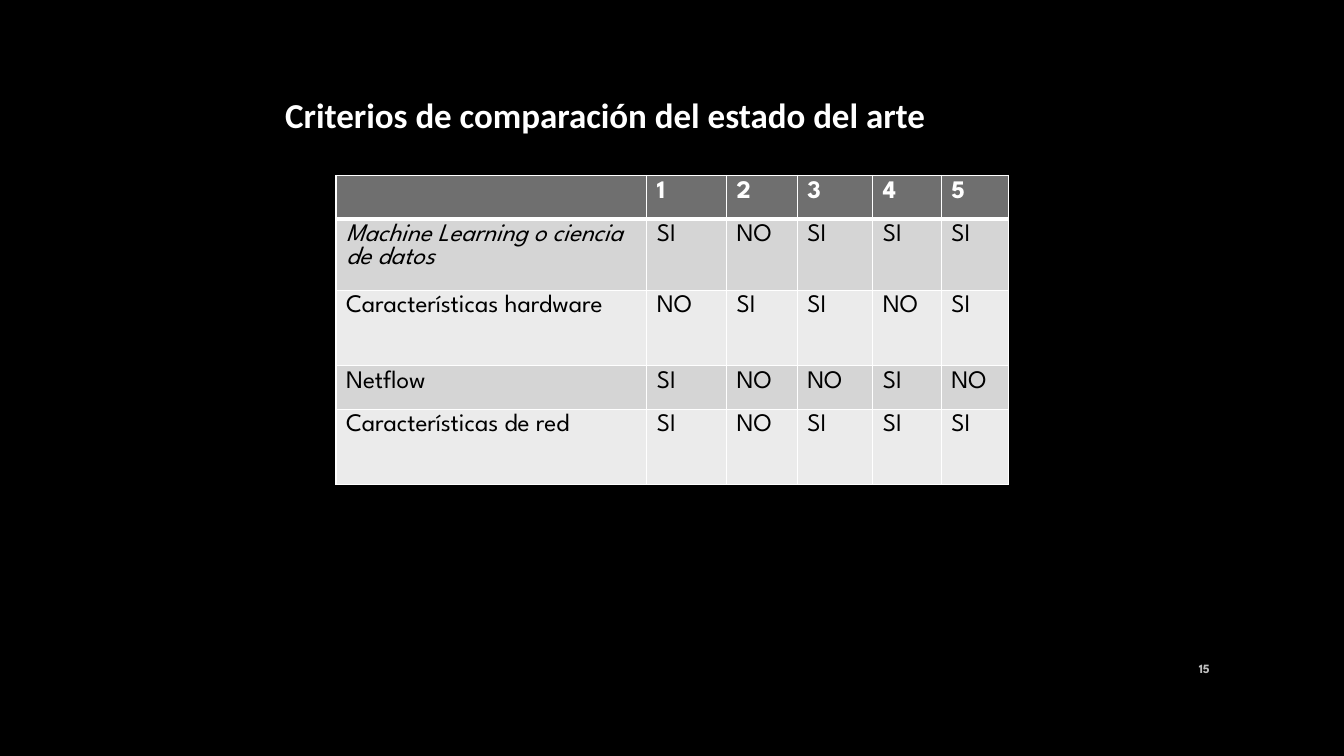
"""Builds the slide that compares state-of-the-art criteria in a table."""
import pptx
import pptx.dml.color
import pptx.enum.text
import pptx.oxml
import pptx.oxml.ns
import pptx.util

Pt = pptx.util.Pt
RGB = pptx.dml.color.RGBColor.from_string
ALIGN = pptx.enum.text.PP_ALIGN
ANCHOR = pptx.enum.text.MSO_ANCHOR

TITLE = "Criterios de comparación del estado del arte"
PAGE = "15"
ROWS = [
    ("", "1", "2", "3", "4", "5"),
    ("Machine Learning o ciencia de datos", "SI", "NO", "SI", "SI", "SI"),
    ("Características hardware", "NO", "SI", "SI", "NO", "SI"),
    ("Netflow", "SI", "NO", "NO", "SI", "NO"),
    ("Características de red", "SI", "NO", "SI", "SI", "SI"),
]
COL_WIDTHS = [222, 57, 50.5, 54, 49, 48]
ROW_HEIGHTS = [31, 51, 54, 31, 54]
TABLE_AT = (240, 125.3)
TITLE_BOX = (196.5, 63.3, 716, 37.5)
PAGE_BOX = (828, 463, 43.2, 28.8)
COLORS = {
    "back": "000000", "white": "FFFFFF", "dark": "000000", "page": "BFBFBF",
    "head": "6F6F6F", "odd": "D5D5D5", "even": "EBEBEB",
}
FONT = "League Spartan"
TITLE_FONT = {"name": "Calibri", "size": Pt(25), "bold": True}
PAGE_FONT = {"name": FONT, "size": Pt(9), "bold": True}
CELL_FONT = {"name": FONT, "size": Pt(18)}


def write(tf, text, color, font):
    """Put one formatted paragraph in a text frame."""
    p = tf.paragraphs[0]
    p.text = text
    for name, value in font.items():
        setattr(p.font, name, value)
    p.font.color.rgb = RGB(COLORS[color])
    return p


def add_borders(cell, top, bottom):
    """Draw the four white cell borders."""
    tcPr = cell._tc.get_or_add_tcPr()
    for side, width in zip("LRTB", (1, 1, top, bottom)):
        tcPr.append(pptx.oxml.parse_xml(
            f'<a:ln{side} {pptx.oxml.ns.nsdecls("a")} w="{Pt(width)}">'
            f'<a:solidFill><a:srgbClr val="{COLORS["white"]}"/></a:solidFill>'
            f'</a:ln{side}>'))


def add_table(s):
    """Add the comparison table."""
    size = sum(COL_WIDTHS), sum(ROW_HEIGHTS)
    table = s.shapes.add_table(
        len(ROWS), len(COL_WIDTHS), *map(Pt, TABLE_AT + size)).table
    for col, width in zip(table.columns, COL_WIDTHS):
        col.width = Pt(width)
    for i, (row, height) in enumerate(zip(table.rows, ROW_HEIGHTS)):
        row.height = Pt(height)
        head = i == 0
        fill = "head" if head else "odd" if i % 2 else "even"
        for j, (cell, text) in enumerate(zip(row.cells, ROWS[i])):
            add_borders(cell, 3 if i == 1 else 1, 3 if head else 1)
            cell.fill.solid()
            cell.fill.fore_color.rgb = RGB(COLORS[fill])
            style = {"bold": head, "italic": (i, j) == (1, 0)}
            write(cell.text_frame, text, "white" if head else "dark",
                  CELL_FONT | style)


def main():
    """Build and save the slide."""
    prs = pptx.Presentation()
    prs.slide_width, prs.slide_height = Pt(960), Pt(540)
    s = prs.slides.add_slide(prs.slide_layouts[5])
    s.background.fill.solid()
    s.background.fill.fore_color.rgb = RGB(COLORS["back"])

    page = s.shapes.add_textbox(*map(Pt, PAGE_BOX)).text_frame
    page.word_wrap = True
    page.vertical_anchor = ANCHOR.MIDDLE
    write(page, PAGE, "page", PAGE_FONT).alignment = ALIGN.RIGHT

    add_table(s)

    title = s.shapes.title
    title.left, title.top, title.width, title.height = map(Pt, TITLE_BOX)
    tf = title.text_frame
    tf.vertical_anchor = ANCHOR.TOP
    tf.auto_size = pptx.enum.text.MSO_AUTO_SIZE.SHAPE_TO_FIT_TEXT
    write(tf, TITLE, "white", TITLE_FONT).alignment = ALIGN.LEFT

    prs.save("out.pptx")


if __name__ == "__main__":
    main()
